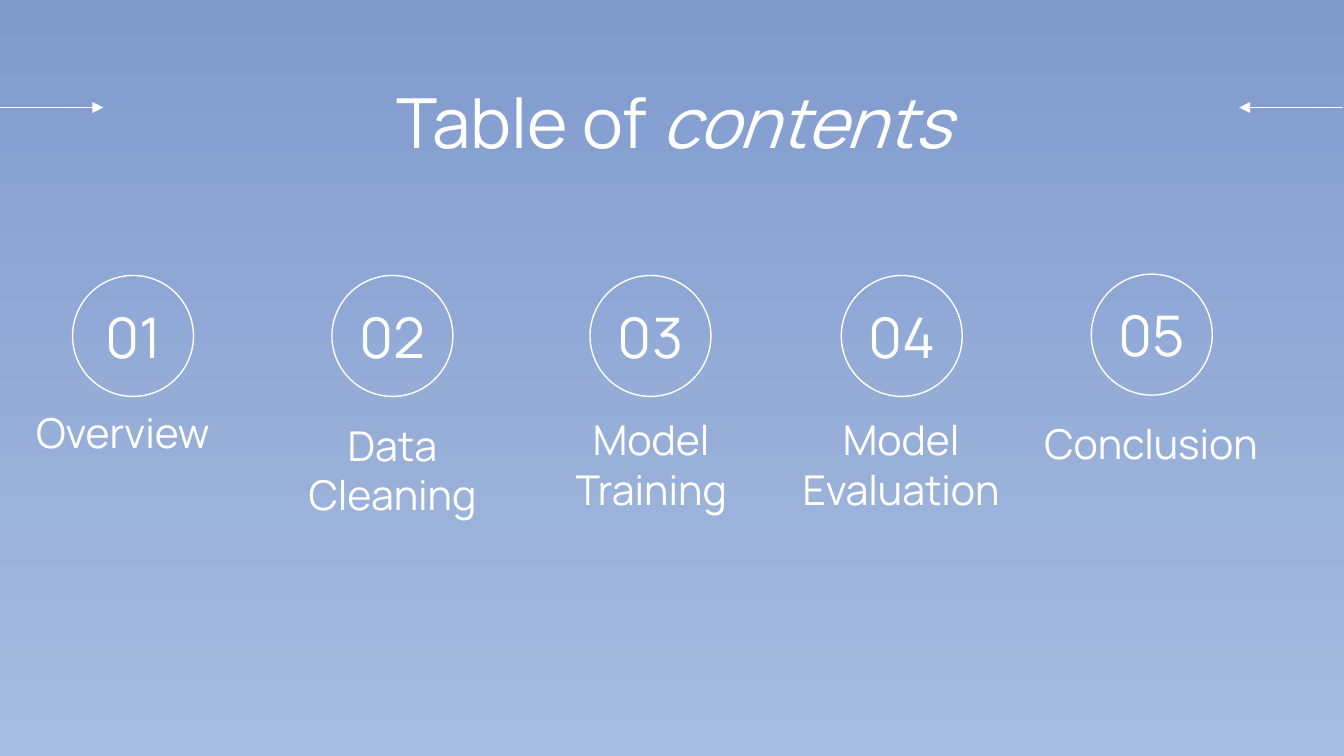
from lxml import etree
from pptx import Presentation
from pptx.dml.color import RGBColor
from pptx.enum.shapes import MSO_CONNECTOR, MSO_SHAPE
from pptx.enum.text import MSO_ANCHOR, MSO_AUTO_SIZE, PP_ALIGN
from pptx.oxml.ns import qn
from pptx.util import Inches, Pt

STRAIGHT, OVAL = MSO_CONNECTOR.STRAIGHT, MSO_SHAPE.OVAL
TOP, MIDDLE, BOTTOM = MSO_ANCHOR.TOP, MSO_ANCHOR.MIDDLE, MSO_ANCHOR.BOTTOM
LEFT, CENTER = PP_ALIGN.LEFT, PP_ALIGN.CENTER
NO_AUTOFIT = MSO_AUTO_SIZE.NONE

THEME = {
    "font": "Manrope",
    "ink": RGBColor.from_string("FFFFFF"),
    "sky": [RGBColor.from_string("809BCE"), RGBColor.from_string("A8BCE0")],
    "title": 37,
    "number": 30,
    "label": 22,
    "line": 0.75,
}

TITLE = [("Table of", False), (" contents", True)]
TITLE_BOX = (0.79, 0.49, 8.44, 0.63)
ARROWS = [(0, 0.77), (9.99, 9.22)]
ARROW_Y = 0.8
DIAMETER, NUMBER_WIDTH, LABEL_HEIGHT = 0.9, 0.77, 0.55
SECTIONS = [
    {"lines": ["Overview"], "circle": (0.54, 2.05), "label": (0.17, 2.95), "width": 1.65, "align": LEFT},
    {"lines": ["Data", "Cleaning"], "circle": (2.47, 2.05), "label": (2.01, 3.41), "width": 1.82, "align": CENTER},
    {"lines": ["Model", "Training"], "circle": (4.39, 2.05), "label": (3.99, 3.37), "width": 1.71, "align": CENTER},
    {"lines": ["Model", "Evaluation"], "circle": (6.26, 2.05), "label": (5.7, 3.37), "width": 2.01, "align": CENTER},
    {"lines": ["Conclusion"], "circle": (8.12, 2.04), "label": (7.56, 3.03), "width": 2.01, "align": CENTER},
]


def write(box, paragraphs, size, anchor, align=CENTER):
    """Fill a box with paragraphs, each a list of (text, italic) runs."""
    frame = box.text_frame
    frame.word_wrap = True
    frame.auto_size = NO_AUTOFIT
    frame.vertical_anchor = anchor
    frame.margin_left = frame.margin_right = Inches(0.1)
    frame.margin_top = frame.margin_bottom = Inches(0.1)
    for index, runs in enumerate(paragraphs):
        paragraph = frame.paragraphs[0] if index == 0 else frame.add_paragraph()
        paragraph.alignment = align
        for text, italic in runs:
            run = paragraph.add_run()
            run.text = text
            run.font.name = THEME["font"]
            run.font.size = Pt(THEME[size])
            run.font.italic = italic
            run.font.color.rgb = THEME["ink"]


def draw_line(line):
    """Give an outline the theme colour and width."""
    line.color.rgb = THEME["ink"]
    line.width = Pt(THEME["line"])


def add_arrow(slide, start, end):
    """Draw a horizontal arrow pointing at its end."""
    y = Inches(ARROW_Y)
    arrow = slide.shapes.add_connector(STRAIGHT, Inches(start), y, Inches(end), y)
    draw_line(arrow.line)
    outline = arrow._element.spPr.find(qn("a:ln"))
    etree.SubElement(outline, qn("a:tailEnd"), type="triangle")
    etree.SubElement(arrow._element.spPr, qn("a:effectLst"))


def add_section(slide, number, section):
    """Draw one numbered circle with its label."""
    shapes = slide.shapes
    left, top = section["circle"]
    circle = shapes.add_shape(OVAL, *map(Inches, (left, top, DIAMETER, DIAMETER)))
    circle.shadow.inherit = False
    circle.fill.background()
    draw_line(circle.line)
    number_left = left + (DIAMETER - NUMBER_WIDTH) / 2
    number_box = shapes.add_textbox(*map(Inches, (number_left, top, NUMBER_WIDTH, DIAMETER)))
    write(number_box, [[(f"{number:02d}", False)]], "number", MIDDLE)
    label = shapes.add_textbox(*map(Inches, (*section["label"], section["width"], LABEL_HEIGHT)))
    write(label, [[(line, False)] for line in section["lines"]], "label", BOTTOM, section["align"])


def main():
    """Build the table of contents slide."""
    deck = Presentation()
    deck.slide_width = Inches(10)
    deck.slide_height = deck.slide_width * 9 // 16
    slide = deck.slides.add_slide(deck.slide_layouts[5])
    sky = slide.background.fill
    sky.gradient()
    sky.gradient_angle = 270
    for stop, color, position in zip(sky.gradient_stops, THEME["sky"], (0, 1)):
        stop.color.rgb = color
        stop.position = position
    for start, end in ARROWS:
        add_arrow(slide, start, end)
    title = slide.shapes.title
    title.left, title.top, title.width, title.height = map(Inches, TITLE_BOX)
    write(title, [TITLE], "title", TOP)
    for number, section in enumerate(SECTIONS, start=1):
        add_section(slide, number, section)
    deck.save("out.pptx")


if __name__ == "__main__":
    main()
